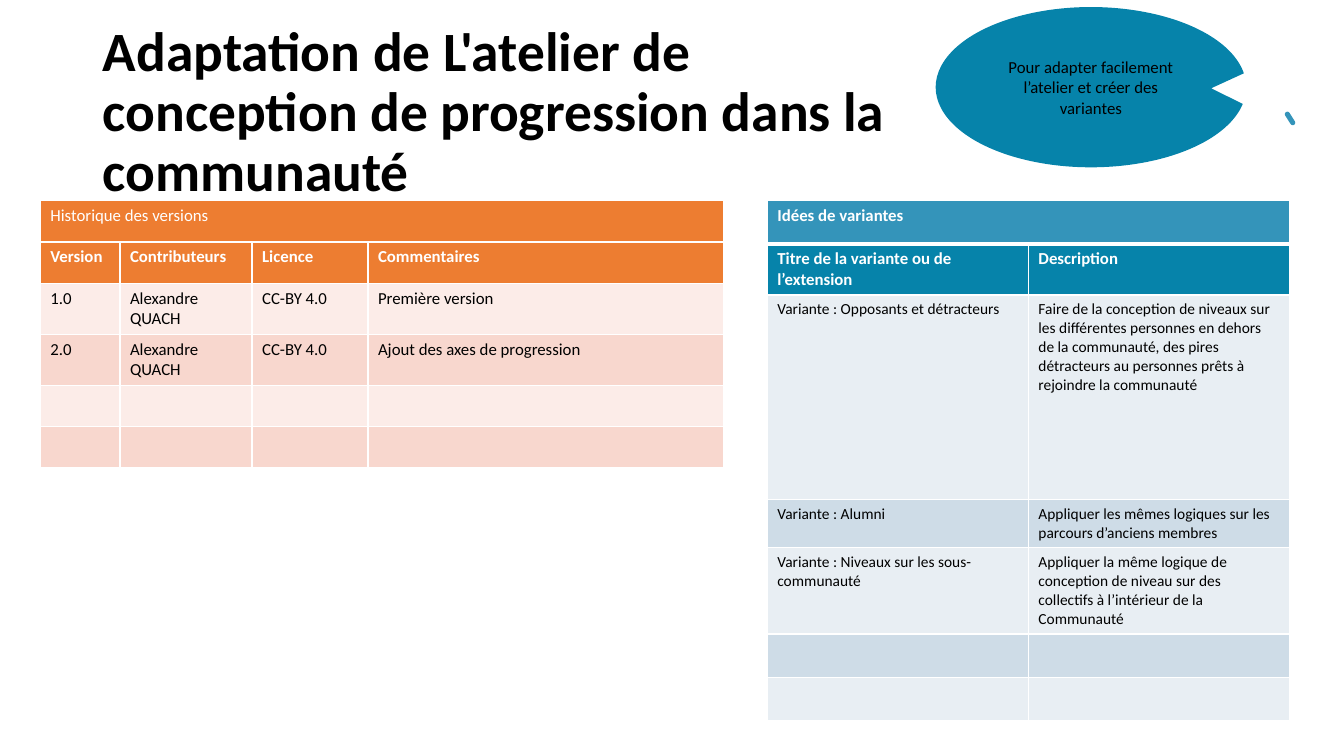
from lxml import etree
from pptx import Presentation
from pptx.dml.color import RGBColor
from pptx.enum.shapes import MSO_SHAPE
from pptx.enum.text import MSO_ANCHOR, MSO_AUTO_SIZE, PP_ALIGN
from pptx.oxml import parse_xml
from pptx.util import Inches, Pt

LEFT, CENTER = PP_ALIGN.LEFT, PP_ALIGN.CENTER
MIDDLE = MSO_ANCHOR.MIDDLE
NO_FIT = MSO_AUTO_SIZE.NONE
CALLOUT, ROUNDED = MSO_SHAPE.OVAL_CALLOUT, MSO_SHAPE.ROUNDED_RECTANGLE
DRAWING_NS = "http://schemas.openxmlformats.org/drawingml/2006/main"

BLACK, WHITE = "000000", "FFFFFF"
TEAL, BLUE, ORANGE = "0683AA", "3494BA", "ED7D31"
TABLE_TOP = 1.99


def write(frame, text, size=12, color=BLACK, bold=False, align=LEFT, spacing=None):
    paragraph = frame.paragraphs[0]
    paragraph.alignment = align
    paragraph.line_spacing = spacing
    run = paragraph.add_run()
    run.text = text
    run.font.name = "Calibri"
    run.font.size = Pt(size)
    run.font.bold = bold
    run.font.color.rgb = RGBColor.from_string(color)


def style_cell(cell, fill, top=1, bottom=1):
    properties = cell._tc.get_or_add_tcPr()
    for side, width in (("L", 1), ("R", 1), ("T", top), ("B", bottom)):
        border = etree.tostring(etree.Element(f"{{{DRAWING_NS}}}ln{side}", w=str(Pt(width))))
        line = parse_xml(border)
        solid = etree.SubElement(line, f"{{{DRAWING_NS}}}solidFill")
        etree.SubElement(solid, f"{{{DRAWING_NS}}}srgbClr", val=WHITE)
        properties.append(line)
    cell.fill.solid()
    cell.fill.fore_color.rgb = RGBColor.from_string(fill)


presentation = Presentation()
presentation.slide_width, presentation.slide_height = Inches(13.33), Inches(7.5)
slide = presentation.slides.add_slide(presentation.slide_layouts[5])

# Title
title = slide.shapes.title
title.left, title.top, title.width, title.height = map(Inches, (0.92, 0.4, 8.36, 1.45))
title.text_frame.auto_size = NO_FIT
title.text_frame.vertical_anchor = MIDDLE
write(title.text_frame,
      "Adaptation de L'atelier de conception de progression dans la communauté",
      size=39.6, bold=True, spacing=0.9)

# Callout and the small slanted mark beside it
for kind, box, adjustments, fill, rotation, text in (
    (CALLOUT, (9.28, 0.07, 3.08, 1.59), (0.387, 0.007), TEAL, 0,
     "Pour adapter facilement l’atelier et créer des variantes"),
    (ROUNDED, (12.72, 1.15, 0.15, 0.05), (0.5,), BLUE, 57.7, ""),
):
    shape = slide.shapes.add_shape(kind, *map(Inches, box))
    for index, value in enumerate(adjustments):
        shape.adjustments[index] = value
    shape.rotation = rotation
    shape.shadow.inherit = False
    shape.fill.solid()
    shape.fill.fore_color.rgb = RGBColor.from_string(fill)
    shape.line.fill.background()
    if text:
        shape.text_frame.word_wrap = True
        shape.text_frame.vertical_anchor = MIDDLE
        write(shape.text_frame, text, align=CENTER)

# Tables: a merged heading, a row of column names, then banded rows
variants = dict(
    left=7.61, columns=(2.59, 2.59), heights=(0.43, 0.47, 2.03, 0.43, 0.43, 0.43, 0.43),
    heads=(BLUE, TEAL), bands=("E8EEF3", "CEDCE7"), size=11, heading_bold=True, rule=3,
    rows=(
        ("Idées de variantes",),
        ("Titre de la variante ou de l’extension", "Description"),
        ("Variante : Opposants et détracteurs",
         "Faire de la conception de niveaux sur les différentes personnes en dehors de la "
         "communauté, des pires détracteurs au personnes prêts à rejoindre la communauté"),
        ("Variante : Alumni",
         "Appliquer les mêmes logiques sur les parcours d’anciens membres"),
        ("Variante : Niveaux sur les sous-communauté",
         "Appliquer la même logique de conception de niveau sur des collectifs "
         "à l’intérieur de la Communauté"),
    ),
)
versions = dict(
    left=0.4, columns=(0.79, 1.31, 1.15, 3.53), heights=(0.41,) * 6,
    heads=(ORANGE, ORANGE), bands=("FCECE8", "F8D7CE"), size=12, heading_bold=False, rule=1,
    rows=(
        ("Historique des versions",),
        ("Version", "Contributeurs", "Licence", "Commentaires"),
        ("1.0", "Alexandre QUACH", "CC-BY 4.0", "Première version"),
        ("2.0", "Alexandre QUACH", "CC-BY 4.0", "Ajout des axes de progression"),
    ),
)
for content in (variants, versions):
    columns, heights = content["columns"], content["heights"]
    table = slide.shapes.add_table(
        len(heights), len(columns), Inches(content["left"]), Inches(TABLE_TOP),
        Inches(sum(columns)), Inches(sum(heights))).table
    for column, width in zip(table.columns, columns):
        column.width = Inches(width)
    table.cell(0, 0).merge(table.cell(0, len(columns) - 1))

    for r, height in enumerate(heights):
        table.rows[r].height = Inches(height)
        is_head = r < 2
        fill = content["heads"][r] if is_head else content["bands"][r % 2]
        texts = content["rows"][r] if r < len(content["rows"]) else ()
        for c in range(len(columns)):
            cell = table.cell(r, c)
            style_cell(cell, fill, top=content["rule"] if r == 1 else 1,
                       bottom=content["rule"] if r == 0 else 1)
            if c < len(texts):
                write(cell.text_frame, texts[c],
                      size=12 if is_head else content["size"],
                      color=WHITE if is_head else BLACK,
                      bold=content["heading_bold"] if r == 0 else is_head)

presentation.save("out.pptx")
